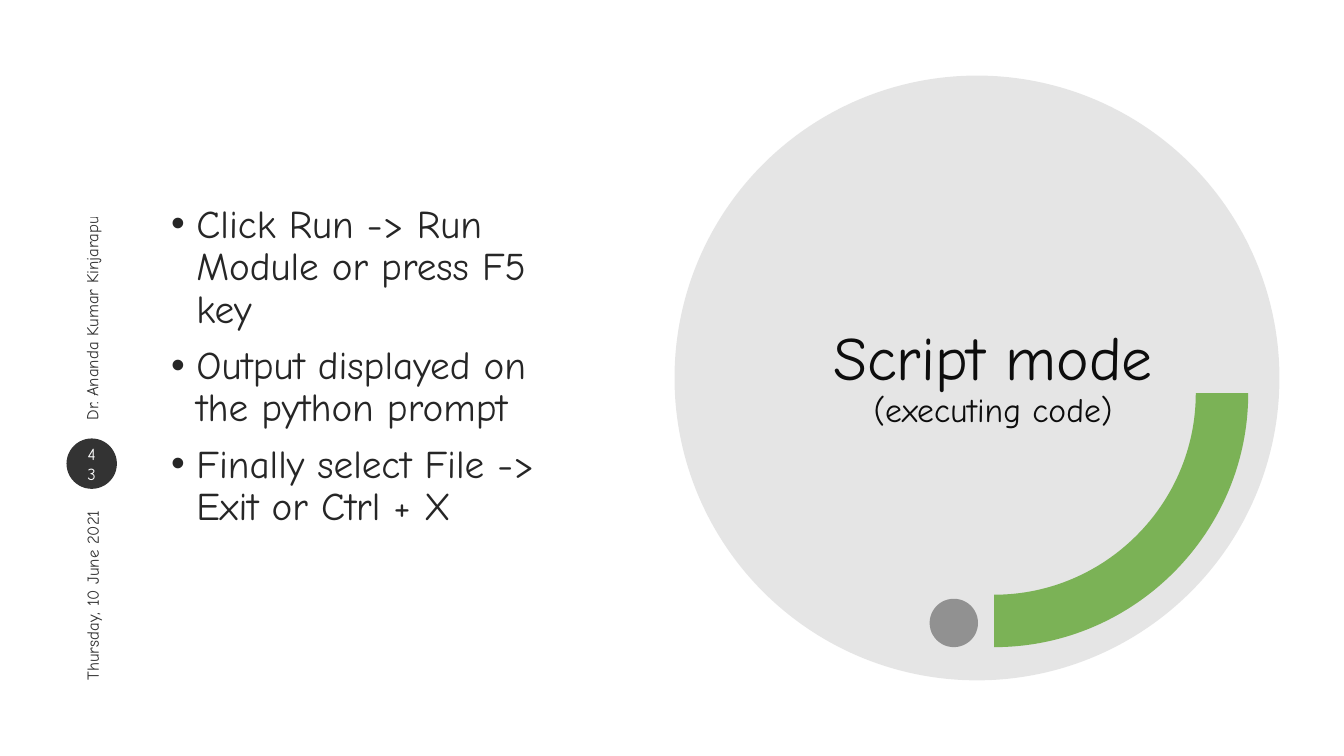
from dataclasses import dataclass
from typing import Optional

import lxml.etree
import pptx
import pptx.dml.color
import pptx.enum.shapes
import pptx.enum.text
import pptx.oxml.ns
import pptx.util

Inches = pptx.util.Inches
Align = pptx.enum.text.PP_ALIGN
qn = pptx.oxml.ns.qn

# Bézier handle length of a quarter circle, as a share of its radius
QUARTER_HANDLE = 0.55


@dataclass(frozen=True)
class Theme:
    font: str = "Comic Neue"
    ink: str = "000000"
    title_ink: str = "0D0D0D"
    body_ink: str = "262626"
    paper: str = "FFFFFF"
    backdrop: str = "808080"
    dot: str = "595959"
    accent: str = "70AD47"
    title_size: int = 44
    subtitle_size: int = 24
    body_size: int = 28
    footer_size: int = 12


@dataclass(frozen=True)
class Disc:
    left: float
    top: float
    diameter: float
    color: str
    opacity: int


@dataclass(frozen=True)
class SideLabel:
    text: str
    left: float
    top: float
    width: float
    align: Align


THEME = Theme()
BACKDROP = Disc(6.69, 0.75, 6.0, THEME.backdrop, 20)
DOT = Disc(9.22, 5.94, 0.48, THEME.dot, 60)
NUMBER_BADGE = Disc(0.66, 4.35, 0.5, THEME.ink, 80)
SIDE_LABELS = (
    SideLabel("Dr. Ananda Kumar Kinjarapu", -0.99, 2.17, 3.8, Align.LEFT),
    SideLabel("Thursday, 10 June 2021", -0.19, 5.87, 2.21, Align.RIGHT),
)
STEPS = (
    "Click Run -> Run Module or press F5 key",
    "Output displayed on the python prompt",
    "Finally select File -> Exit or Ctrl + X",
)


def set_opacity(element, percent: int) -> None:
    """Apply an opacity to every colour inside the element."""
    for color in element.iter(qn("a:srgbClr")):
        lxml.etree.SubElement(color, qn("a:alpha"), val=str(percent * 1000))


def paint(shape, color: str, opacity: int) -> None:
    shape.shadow.inherit = False
    shape.fill.solid()
    shape.fill.fore_color.rgb = pptx.dml.color.RGBColor.from_string(color)
    set_opacity(shape.element.spPr, opacity)
    shape.line.fill.background()


def add_disc(slide, disc: Disc):
    shape = slide.shapes.add_shape(
        pptx.enum.shapes.MSO_SHAPE.OVAL, Inches(disc.left), Inches(disc.top),
        Inches(disc.diameter), Inches(disc.diameter))
    paint(shape, disc.color, disc.opacity)
    return shape


def merge_into_curve(lines: list) -> None:
    """Turn three line segments into one curve through the same points."""
    curve = lxml.etree.Element(qn("a:cubicBezTo"))
    lines[0].addprevious(curve)
    for line in lines:
        curve.append(line[0])
        line.getparent().remove(line)


def add_arc_band(slide, cx: float, cy: float, outer: float, inner: float) -> None:
    """Quarter ring below and to the right of its centre."""
    def quarter(radius: float) -> list[tuple[int, int]]:
        handle = radius * QUARTER_HANDLE
        offsets = ((radius, 0), (radius, handle), (handle, radius), (0, radius))
        return [(Inches(cx + x), Inches(cy + y)) for x, y in offsets]

    outline = quarter(outer) + quarter(inner)[::-1]
    builder = slide.shapes.build_freeform(*outline[0])
    builder.add_line_segments(outline[1:], close=True)
    band = builder.convert_to_shape()
    lines = list(band.element.spPr.iter(qn("a:lnTo")))
    merge_into_curve(lines[:3])
    merge_into_curve(lines[4:7])
    paint(band, THEME.accent, 90)


def add_box(slide, left: float, top: float, width: float, height: float):
    return slide.shapes.add_textbox(
        Inches(left), Inches(top), Inches(width), Inches(height))


def write(shape, text: str, *, size: int, color: str, align: Align = Align.LEFT,
          line_spacing: float = 1.0, before: int = 0, after: int = 0,
          bullet: bool = False, subtitle: Optional[str] = None) -> None:
    """Write one paragraph per line, with an optional smaller closing line."""
    frame = shape.text_frame
    frame.word_wrap = True
    frame.vertical_anchor = pptx.enum.text.MSO_ANCHOR.MIDDLE
    for index, line in enumerate(text.split("\n")):
        paragraph = frame.add_paragraph() if index else frame.paragraphs[0]
        paragraph.alignment = align
        paragraph.line_spacing = line_spacing
        paragraph.space_before = pptx.util.Pt(before)
        paragraph.space_after = pptx.util.Pt(after)
        if bullet:
            properties = paragraph._p.get_or_add_pPr()
            properties.set("marL", str(Inches(0.25)))
            properties.set("indent", str(Inches(-0.25)))
            lxml.etree.SubElement(properties, qn("a:buFont"), typeface="Arial")
            lxml.etree.SubElement(properties, qn("a:buChar"), char="•")
        pieces = [(line, size)]
        if subtitle:
            pieces.append((subtitle, THEME.subtitle_size))
        for position, (words, points) in enumerate(pieces):
            if position:
                paragraph.add_line_break()
            run = paragraph.add_run()
            run.text = words
            run.font.name = THEME.font
            run.font.size = pptx.util.Pt(points)
            run.font.color.rgb = pptx.dml.color.RGBColor.from_string(color)


def main() -> None:
    deck = pptx.Presentation()
    deck.slide_width, deck.slide_height = Inches(13.33), Inches(7.5)
    slide = deck.slides.add_slide(deck.slide_layouts[6])

    # Round backdrop with its decoration
    add_disc(slide, BACKDROP)
    add_disc(slide, DOT)
    add_arc_band(slide, cx=9.86, cy=3.9, outer=2.52, inner=2.0)

    # Title
    title = add_box(slide, 7.63, 1.57, 4.44, 4.37)
    write(title, "Script mode", subtitle="(executing code)", size=THEME.title_size,
          color=THEME.title_ink, align=Align.CENTER, line_spacing=0.9)

    # Vertical footer: author, date and slide number
    for label in SIDE_LABELS:
        footer = add_box(slide, label.left, label.top, label.width, 0.4)
        footer.rotation = 270
        write(footer, label.text, size=THEME.footer_size, color=THEME.ink,
              align=label.align, after=6)
        set_opacity(footer.element.txBody, 80)
    badge = add_disc(slide, NUMBER_BADGE)
    write(badge, "43", size=THEME.footer_size, color=THEME.paper,
          align=Align.CENTER, after=6)

    # Steps, set slightly above the middle
    steps = add_box(slide, 1.6, 1.57, 4.3, 4.37)
    steps.text_frame.margin_bottom = Inches(0.28)
    write(steps, "\n".join(STEPS), size=THEME.body_size, color=THEME.body_ink,
          line_spacing=0.9, before=10, bullet=True)

    deck.save("out.pptx")


if __name__ == "__main__":
    main()
